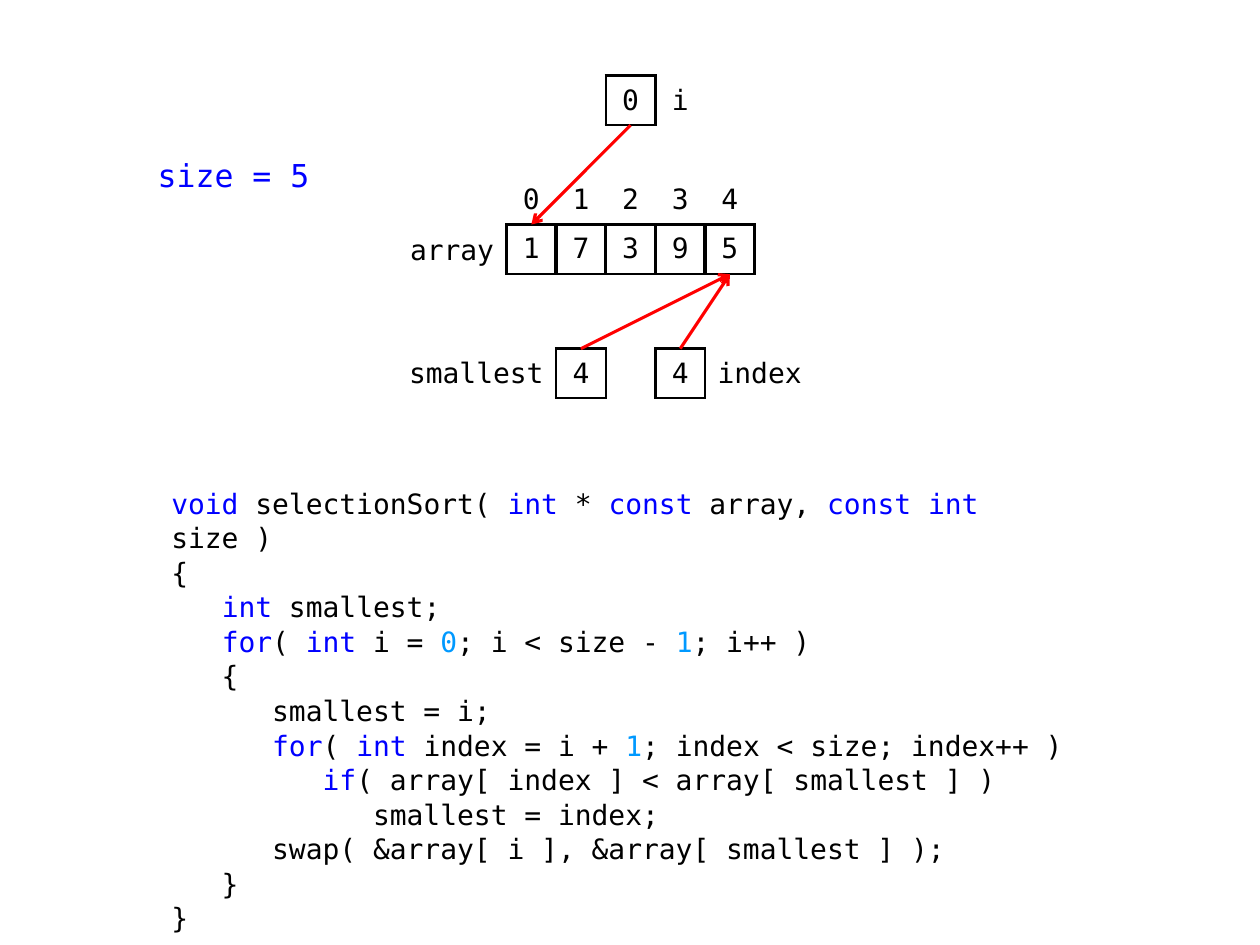
from dataclasses import dataclass
from itertools import groupby

from lxml.etree import SubElement
from pptx import Presentation
from pptx.dml.color import RGBColor
from pptx.enum.shapes import MSO_CONNECTOR as Connector
from pptx.enum.text import MSO_ANCHOR as Anchor, MSO_AUTO_SIZE as AutoSize, PP_ALIGN as Align
from pptx.oxml import parse_xml
from pptx.oxml.ns import nsdecls, qn
from pptx.util import Inches, Length, Pt


@dataclass(frozen=True)
class Theme:
    font: str = "DejaVu Sans Mono"
    ink: str = "000000"
    keyword: str = "0000FF"
    number: str = "0099FF"
    pointer: str = "FF0000"
    paper: str = "FFFFFF"
    code_size: int = 16
    fact_size: int = 18
    border: float = 1.5
    divider: float = 2.25
    arrow: float = 1.75


@dataclass(frozen=True)
class Cell:
    text: str
    edges: dict[str, float]
    align: Align = Align.CENTER
    filled: bool = False


@dataclass(frozen=True)
class Grid:
    col: float
    row: float
    widths: tuple[float, ...]
    rows: list[list[Cell]]


@dataclass(frozen=True)
class Label:
    text: str
    col: float
    row: float
    width: float
    align: Align
    size: int
    color: str


@dataclass(frozen=True)
class Pointer:
    start: tuple[float, float]
    end: tuple[float, float]


THEME = Theme()
UNIT, LEFT, TOP = 0.394, 4.02, 0.6
KEYWORDS = {"void", "int", "const", "for", "if"}
CODE = """void selectionSort( int * const array, const int size )
{
   int smallest;
   for( int i = 0; i < size - 1; i++ )
   {
      smallest = i;
      for( int index = i + 1; index < size; index++ )
         if( array[ index ] < array[ smallest ] )
            smallest = index;
      swap( &array[ i ], &array[ smallest ] );
   }
}"""


def x_at(col: float) -> Length:
    return Inches(LEFT + col * UNIT)


def y_at(row: float) -> Length:
    return Inches(TOP + row * UNIT)


def span(units: float) -> Length:
    return Inches(units * UNIT)


def style(paragraph, size: int, color: str | None = None, align: Align = Align.LEFT) -> None:
    paragraph.alignment = align
    paragraph.font.name = THEME.font
    paragraph.font.size = Pt(size)
    if color:
        paragraph.font.color.rgb = RGBColor.from_string(color)


def set_edges(cell, edges: dict[str, float]) -> None:
    properties = cell._tc.get_or_add_tcPr()
    for place, side in enumerate("LRTB"):
        if side in edges:
            paint = f'<a:solidFill><a:srgbClr val="{THEME.ink}"/></a:solidFill>'
        else:
            paint = "<a:noFill/>"
        width = Pt(edges.get(side, 0))
        line = f'<a:ln{side} {nsdecls("a")} w="{width}">{paint}</a:ln{side}>'
        properties.insert(place, parse_xml(line))


def draw_grid(slide, grid: Grid) -> None:
    frame = slide.shapes.add_table(
        len(grid.rows), len(grid.widths), x_at(grid.col), y_at(grid.row),
        span(sum(grid.widths)), span(len(grid.rows)))
    table = frame.table
    table.first_row = table.horz_banding = False
    for column, width in zip(table.columns, grid.widths):
        column.width = span(width)
    for r, row in enumerate(grid.rows):
        table.rows[r].height = span(1)
        for c, content in enumerate(row):
            cell = table.cell(r, c)
            cell.text = content.text
            cell.vertical_anchor = Anchor.MIDDLE
            style(cell.text_frame.paragraphs[0], THEME.code_size, THEME.ink, content.align)
            if content.filled:
                cell.fill.solid()
                cell.fill.fore_color.rgb = RGBColor.from_string(THEME.paper)
            else:
                cell.fill.background()
            set_edges(cell, content.edges)


def draw_label(slide, label: Label) -> None:
    box = slide.shapes.add_textbox(x_at(label.col), y_at(label.row), span(label.width), span(1))
    box.text_frame.word_wrap = True
    box.text_frame.vertical_anchor = Anchor.MIDDLE
    box.text_frame.text = label.text
    style(box.text_frame.paragraphs[0], label.size, label.color, label.align)


def draw_pointer(slide, pointer: Pointer) -> None:
    (c1, r1), (c2, r2) = pointer.start, pointer.end
    arrow = slide.shapes.add_connector(Connector.STRAIGHT, x_at(c1), y_at(r1), x_at(c2), y_at(r2))
    arrow.line.color.rgb = RGBColor.from_string(THEME.pointer)
    arrow.line.width = Pt(THEME.arrow)
    SubElement(arrow.line._get_or_add_ln(), qn("a:tailEnd"), type="arrow")
    SubElement(arrow._element.spPr, qn("a:effectLst"))


def token_color(token: str) -> str:
    if token in KEYWORDS:
        return THEME.keyword
    return THEME.number if token.isdigit() else THEME.ink


def write_code(body) -> None:
    body.left, body.top, body.width, body.height = map(Inches, (1.26, 3.75, 7.48, 3.35))
    frame = body.text_frame
    frame.auto_size = AutoSize.NONE
    frame.word_wrap = True
    frame.margin_top = frame.margin_bottom = Inches(0.1)
    for number, line in enumerate(CODE.splitlines()):
        paragraph = frame.add_paragraph() if number else frame.paragraphs[0]
        paragraph.space_before = Pt(0)
        paragraph.line_spacing = 1.03
        properties = paragraph._p.get_or_add_pPr()
        properties.set("marL", "0")
        properties.set("indent", "0")
        SubElement(properties, qn("a:buNone"))
        style(paragraph, THEME.code_size)
        tokens = ["".join(letters) for _, letters in groupby(line, str.isalnum)]
        for color, group in groupby(tokens, token_color):
            run = paragraph.add_run()
            run.text = "".join(group)
            run.font.color.rgb = RGBColor.from_string(color)


def main() -> None:
    deck = Presentation()
    deck.slide_width, deck.slide_height = Inches(10), Inches(7.5)
    slide = deck.slides.add_slide(deck.slide_layouts[1])
    heading = slide.shapes.title._element
    heading.getparent().remove(heading)
    write_code(slide.placeholders[1])

    box = dict.fromkeys("LRTB", THEME.border)
    values = "17395"
    last = len(values) - 1
    indices = [Cell(str(i), {"B": THEME.border}) for i in range(len(values))]
    elements = [
        Cell(value, box | {"L": THEME.divider if i else THEME.border,
                           "R": THEME.divider if i < last else THEME.border}, filled=True)
        for i, value in enumerate(values)]
    grids = [
        Grid(-2.5, 5.5, (3.5, 1),
             [[Cell("smallest", {"R": THEME.border}, Align.RIGHT), Cell("4", box)]]),
        Grid(3, 5.5, (1, 2.5),
             [[Cell("4", box), Cell("index", {"L": THEME.border}, Align.LEFT)]]),
        Grid(2, 0, (1, 1), [[Cell("0", box), Cell("i", {"L": THEME.border})]]),
        Grid(0, 2, (1,) * len(values), [indices, elements]),
    ]
    labels = [
        Label("array", -2.5, 3, 2.5, Align.RIGHT, THEME.code_size, THEME.ink),
        Label("size = 5", -7.5, 1.5, 4, Align.CENTER, THEME.fact_size, THEME.keyword),
    ]
    pointers = [
        Pointer((1.5, 5.5), (4.5, 4)),
        Pointer((3.5, 5.5), (4.5, 4)),
        Pointer((2.5, 1), (0.5, 3)),
    ]
    for grid in grids:
        draw_grid(slide, grid)
    for label in labels:
        draw_label(slide, label)
    for pointer in pointers:
        draw_pointer(slide, pointer)
    deck.save("out.pptx")


if __name__ == "__main__":
    main()
